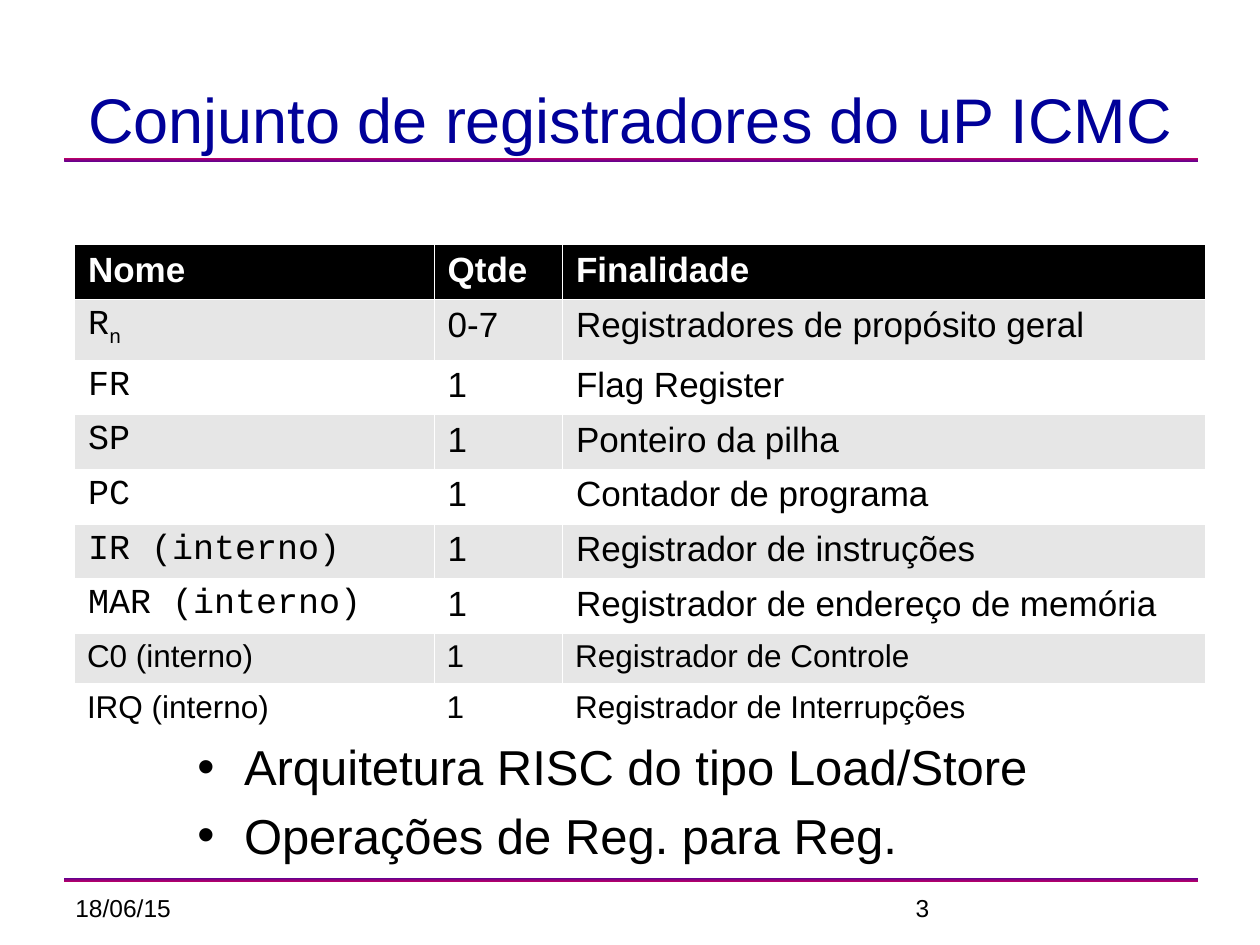
from lxml.etree import SubElement
from pptx import Presentation
from pptx.dml.color import RGBColor
from pptx.enum.shapes import MSO_SHAPE as Shape
from pptx.enum.text import MSO_ANCHOR as Anchor, PP_ALIGN as Align
from pptx.oxml import parse_xml
from pptx.oxml.ns import nsdecls, qn
from pptx.util import Cm, Pt

BLACK = RGBColor(0x00, 0x00, 0x00)
WHITE = RGBColor(0xFF, 0xFF, 0xFF)
GREY = RGBColor(0xE6, 0xE6, 0xE6)
NAVY = RGBColor(0x00, 0x00, 0x99)
PURPLE = RGBColor(0x66, 0x00, 0x8F)
MAGENTA = RGBColor(0xBA, 0x00, 0x66)

SANS, MONO = "Arial", "Courier New"
COLUMN_WIDTHS = (7.25, 2.59, 12.96)
ROW_HEIGHTS = (1.05, 1.2) + (1.09,) * 5 + (0.96,) * 2
HEADINGS = ("Nome", "Qtde", "Finalidade")
REGISTERS = (
    ("R", "0-7", "Registradores de propósito geral"),
    ("FR", "1", "Flag Register"),
    ("SP", "1", "Ponteiro da pilha"),
    ("PC", "1", "Contador de programa"),
    ("IR (interno)", "1", "Registrador de instruções"),
    ("MAR (interno)", "1", "Registrador de endereço de memória"),
    ("C0 (interno)", "1", "Registrador de Controle"),
    ("IRQ (interno)", "1", "Registrador de Interrupções"),
)
BULLETS = ("Arquitetura RISC do tipo Load/Store", "Operações de Reg. para Reg.")


def add_span(para, text, size, color=BLACK, name=SANS, bold=False):
    """Append a formatted run to a paragraph and return it."""
    span = para.add_run()
    span.text = text
    for key, value in {"name": name, "size": Pt(size), "bold": bold}.items():
        setattr(span.font, key, value)
    span.font.color.rgb = color
    return span


def set_hanging(para):
    """Give a paragraph a hanging indent and return its properties."""
    properties = para._p.get_or_add_pPr()
    for key, value in {"marL": Cm(0.96), "indent": Cm(-0.94)}.items():
        properties.set(key, str(int(value)))
    return properties


def add_bullet(para):
    """Put a black round bullet before a hanging paragraph."""
    properties = set_hanging(para)
    color = SubElement(properties, qn("a:buClr"))
    SubElement(color, qn("a:srgbClr")).set("val", str(BLACK))
    SubElement(properties, qn("a:buFont")).set("typeface", SANS)
    SubElement(properties, qn("a:buChar")).set("char", "•")


def add_box(page, left, top, width, height, anchor=Anchor.TOP):
    """Add a wrapping text box and return its text frame."""
    frame = page.shapes.add_textbox(Cm(left), Cm(top), Cm(width), Cm(height)).text_frame
    for key, value in {"word_wrap": True, "vertical_anchor": anchor}.items():
        setattr(frame, key, value)
    return frame


def add_rule(page, top, colors):
    """Add a thin bar with a vertical gradient."""
    bar = page.shapes.add_shape(Shape.RECTANGLE, Cm(1.3), Cm(top), Cm(22.86), Cm(0.08))
    bar.shadow.inherit = False
    bar.line.fill.background()
    bar.fill.gradient()
    bar.fill.gradient_angle = 90
    for stop, color in zip(bar.fill.gradient_stops, colors):
        stop.color.rgb = color


def style_cell(cell, fill):
    """Fill a cell and draw hairline white borders around it."""
    cell.fill.solid()
    cell.fill.fore_color.rgb = fill
    properties = cell._tc.get_or_add_tcPr()
    for index, side in enumerate("LRTB"):
        properties.insert(index, parse_xml(
            f'<a:ln{side} {nsdecls("a")} w="{int(Pt(0.06))}"><a:solidFill>'
            f'<a:srgbClr val="{WHITE}"/></a:solidFill></a:ln{side}>'))


def add_register_table(page):
    """Add the table of registers with banded rows."""
    rows = (HEADINGS,) + REGISTERS
    table = page.shapes.add_table(
        len(rows), len(HEADINGS), Cm(1.5), Cm(4.93),
        Cm(sum(COLUMN_WIDTHS)), Cm(sum(ROW_HEIGHTS))).table
    table.first_row = table.horz_banding = False
    for column, width in zip(table.columns, COLUMN_WIDTHS):
        column.width = Cm(width)
    for row, height in zip(table.rows, ROW_HEIGHTS):
        row.height = Cm(height)
    for r, texts in enumerate(rows):
        header, small = r == 0, r > 6
        fill = BLACK if header else GREY if r % 2 else WHITE
        for c, text in enumerate(texts):
            cell = table.cell(r, c)
            style_cell(cell, fill)
            para = cell.text_frame.paragraphs[0]
            if not small:
                set_hanging(para)
            name = MONO if c == 0 and not header and not small else SANS
            add_span(para, text, 18 if small else 20,
                     WHITE if header else BLACK, name, header)
    subscript = add_span(table.cell(1, 0).text_frame.paragraphs[0], "n", 20, name=MONO)
    subscript.font._element.set("baseline", "-25000")


def add_bullets(page):
    """Add the bulleted remarks below the table."""
    frame = add_box(page, 3.71, 14.73, 17.78, 4.14)
    for index, text in enumerate(BULLETS):
        para = frame.add_paragraph() if index else frame.paragraphs[0]
        add_bullet(para)
        if index:
            para.space_before = Pt(5.6)
        add_span(para, text, 28)


def main():
    """Build the slide and save the deck."""
    deck = Presentation()
    deck.slide_width, deck.slide_height = Cm(25.4), Cm(19.05)
    page = deck.slides.add_slide(deck.slide_layouts[6])
    add_rule(page, 3.18, (PURPLE, MAGENTA))
    add_rule(page, 17.7, (MAGENTA, PURPLE))
    for left, text in ((1.27, "18/06/15"), (18.21, "3")):
        add_span(add_box(page, left, 17.88, 5.92, 1.32).paragraphs[0], text, 14)
    title = add_box(page, 1.3, 1.27, 22.81, 2.01, Anchor.BOTTOM).paragraphs[0]
    title.alignment = Align.CENTER
    add_span(title, "Conjunto de registradores do uP ICMC", 36, NAVY)
    add_register_table(page)
    add_bullets(page)
    deck.save("out.pptx")


if __name__ == "__main__":
    main()
